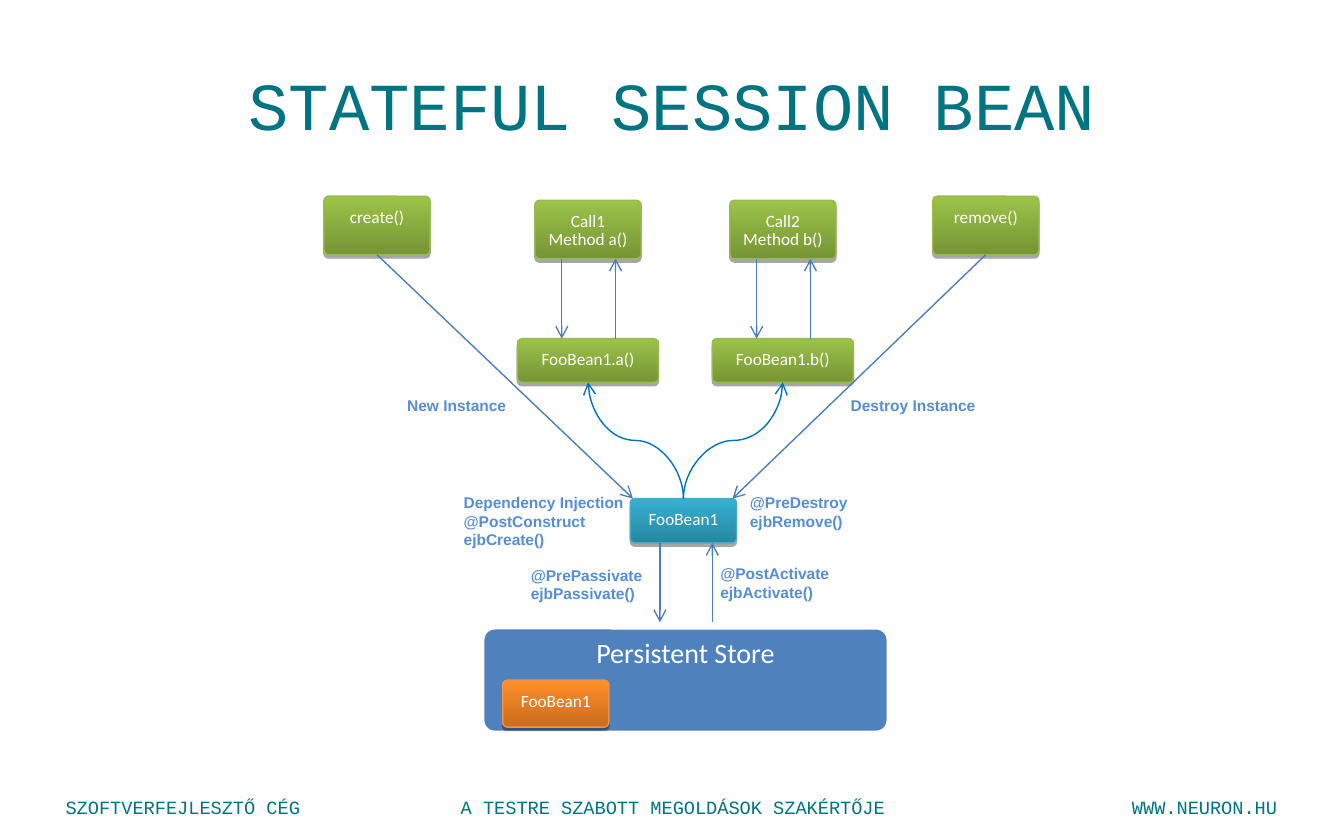
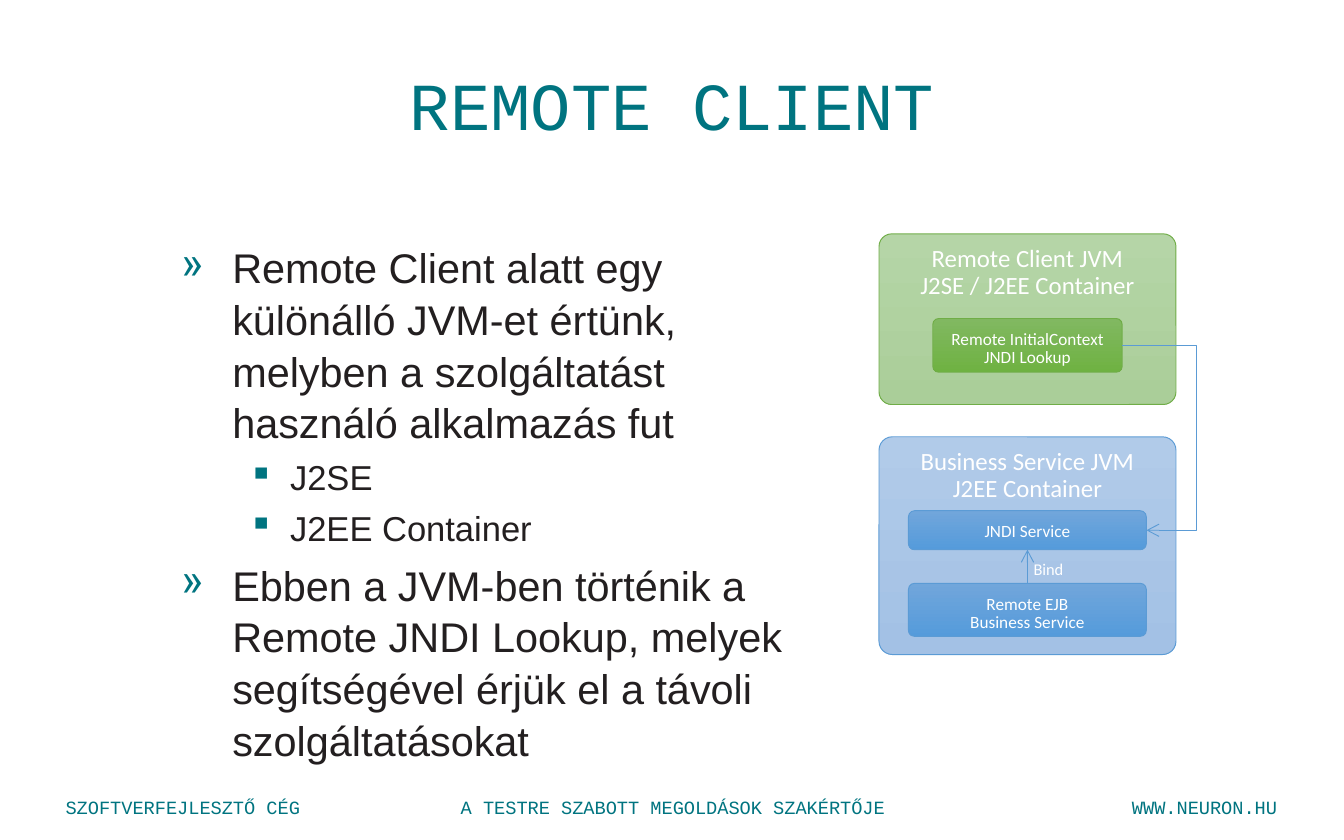
from dataclasses import dataclass
from typing import Optional

from lxml.etree import SubElement
from pptx import Presentation
from pptx.dml.color import RGBColor
from pptx.enum.shapes import MSO_CONNECTOR as Route, MSO_SHAPE as Preset
from pptx.enum.text import MSO_ANCHOR as Anchor, MSO_AUTO_SIZE as AutoSize, PP_ALIGN as Align
from pptx.oxml.ns import qn
from pptx.util import Emu, Inches, Pt

COLUMNS, ROWS = 200, 125
CELL = Inches(10) / COLUMNS

WHITE = RGBColor(0xFF, 0xFF, 0xFF)
BLACK = RGBColor(0x00, 0x00, 0x00)
TEAL = RGBColor(0x00, 0x74, 0x80)
INK = RGBColor(0x23, 0x1F, 0x20)
NOTE_BLUE = RGBColor(0x55, 0x8E, 0xD5)
CALL_BLUE = RGBColor(0x4A, 0x7E, 0xBB)
CURVE_BLUE = RGBColor(0x00, 0x70, 0xC0)
STORE_BLUE = RGBColor(0x4F, 0x81, 0xBD)
SERVICE_BLUE = RGBColor(0x5B, 0x9B, 0xD5)
CLIENT_GREEN = RGBColor(0x70, 0xAD, 0x47)


@dataclass(frozen=True)
class Type:
    font: str
    size: float
    color: RGBColor
    bold: bool = False


@dataclass(frozen=True)
class Skin:
    start: RGBColor
    border: RGBColor
    border_width: float
    end: Optional[RGBColor] = None
    angle: int = 90
    raised: bool = False


@dataclass(frozen=True)
class Area:
    left: float
    top: float
    width: float
    height: float

    def emu(self) -> list[Emu]:
        return [cells(n) for n in (self.left, self.top, self.width, self.height)]

    def top_middle(self) -> tuple[float, float]:
        return self.left + self.width / 2, self.top

    def bottom_middle(self) -> tuple[float, float]:
        return self.left + self.width / 2, self.top + self.height

    def right_middle(self) -> tuple[float, float]:
        return self.left + self.width, self.top + self.height / 2


@dataclass(frozen=True)
class Box:
    area: Area
    text: str
    skin: Skin
    type: Type
    corner: float = 0.7


@dataclass(frozen=True)
class Note:
    area: Area
    paragraphs: tuple[str, ...]


@dataclass(frozen=True)
class Bullet:
    mark: str
    type: Type
    margin: float
    hang: float
    before: float


@dataclass(frozen=True)
class Pen:
    color: RGBColor
    width: float


TITLE = Type("Courier New", 36, TEAL)
FOOTER = Type("Courier New", 10, TEAL)
NOTE = Type("Arial", 8.3, NOTE_BLUE, True)
BIND = Type("Calibri", 8.8, WHITE)
SMALL = Type("Calibri", 9.2, WHITE)
CONTAINER = Type("Calibri", 13.3, WHITE)
STORE = Type("Calibri", 15, WHITE)

METHOD_SKIN = Skin(RGBColor(0x76, 0x95, 0x35), RGBColor(0x98, 0xB9, 0x54), 0.75,
                   RGBColor(0x9B, 0xC3, 0x48), raised=True)
BEAN_SKIN = Skin(RGBColor(0x27, 0x87, 0xA0), RGBColor(0x46, 0xAA, 0xC5), 0.75,
                 RGBColor(0x36, 0xB1, 0xD2), raised=True)
PASSIVE_SKIN = Skin(RGBColor(0xCB, 0x6C, 0x1D), RGBColor(0xF6, 0x92, 0x40), 0.75,
                    RGBColor(0xFF, 0x8F, 0x2A), raised=True)
STORE_SKIN = Skin(STORE_BLUE, WHITE, 2)
CLIENT_SKIN = Skin(RGBColor(0xB5, 0xD5, 0xA7), CLIENT_GREEN, 0.5, RGBColor(0xAA, 0xCE, 0x99), 270)
LOOKUP_SKIN = Skin(RGBColor(0x81, 0xB8, 0x61), CLIENT_GREEN, 0.5, RGBColor(0x6F, 0xB2, 0x42), 270)
BUSINESS_SKIN = Skin(RGBColor(0xB1, 0xCB, 0xE9), SERVICE_BLUE, 0.5, RGBColor(0xA3, 0xC1, 0xE5), 270)
SERVICE_SKIN = Skin(RGBColor(0x71, 0xA6, 0xDB), SERVICE_BLUE, 0.5, RGBColor(0x55, 0x9B, 0xDB), 270)

CALL_PEN = Pen(CALL_BLUE, 0.75)
CURVE_PEN = Pen(CURVE_BLUE, 0.75)
SERVICE_PEN = Pen(SERVICE_BLUE, 0.5)

TOPIC = Bullet("»", Type("Arial", 22.2, INK), 7.6, 7.6, 5)
DETAIL = Bullet("▪", Type("Arial", 18.5, INK), 16.2, 6.2, 4)

FOOTERS = (
    (Area(7.8, 117.4, 47.2, 5.4), "SZOFTVERFEJLESZTŐ CÉG", Align.LEFT),
    (Area(144.8, 117.4, 47.2, 5.4), "WWW.NEURON.HU", Align.RIGHT),
    (Area(66.2, 117.4, 67.8, 5.4), "A TESTRE SZABOTT MEGOLDÁSOK SZAKÉRTŐJE", Align.CENTER),
)


def cells(count: float) -> Emu:
    return Emu(round(count * CELL))


def set_margins(frame, across: float, down: float) -> None:
    frame.margin_left = frame.margin_right = cells(across)
    frame.margin_top = frame.margin_bottom = cells(down)


def add_run(paragraph, text: str, style: Type) -> None:
    run = paragraph.add_run()
    run.text = text
    run.font.name = style.font
    run.font.size = Pt(style.size)
    run.font.bold = style.bold
    run.font.color.rgb = style.color


def write(paragraph, text: str, style: Type, align=Align.LEFT) -> None:
    paragraph.alignment = align
    for number, line in enumerate(text.split("\n")):
        if number:
            paragraph.add_line_break()
        add_run(paragraph, line, style)


def add_frame(slide, area: Area):
    frame = slide.shapes.add_textbox(*area.emu()).text_frame
    frame.word_wrap = True
    return frame


def add_note(slide, note: Note, style: Type = NOTE) -> None:
    frame = add_frame(slide, note.area)
    frame.word_wrap = False
    frame.auto_size = AutoSize.SHAPE_TO_FIT_TEXT
    set_margins(frame, 1.6, 0.8)
    for number, text in enumerate(note.paragraphs):
        write(frame.add_paragraph() if number else frame.paragraphs[0], text, style)


def add_box(slide, box: Box):
    skin = box.skin
    shape = slide.shapes.add_shape(Preset.ROUNDED_RECTANGLE, *box.area.emu())
    shape.adjustments[0] = box.corner / min(box.area.width, box.area.height)
    if skin.end is None:
        shape.fill.solid()
        shape.fill.fore_color.rgb = skin.start
    else:
        shape.fill.gradient()
        shape.fill.gradient_angle = skin.angle
        for stop, color in zip(shape.fill.gradient_stops, (skin.start, skin.end)):
            stop.color.rgb = color
    shape.line.color.rgb = skin.border
    shape.line.width = Pt(skin.border_width)
    shape.shadow.inherit = False
    if skin.raised:
        effects = shape.element.spPr.find(qn("a:effectLst"))
        shadow = SubElement(effects, qn("a:outerShdw"), blurRad="0", dist=str(Pt(1.8)),
                            dir="5400000", rotWithShape="0")
        tint = SubElement(shadow, qn("a:srgbClr"), val=str(BLACK))
        SubElement(tint, qn("a:alpha"), val="35000")
    frame = shape.text_frame
    frame.word_wrap = True
    frame.vertical_anchor = Anchor.TOP
    inset = 1.8 - 0.29 * box.corner
    set_margins(frame, inset, inset)
    paragraph = frame.paragraphs[0]
    paragraph.line_spacing = 0.9
    paragraph.space_after = Pt(6.7)
    write(paragraph, box.text, box.type, Align.CENTER)
    return shape


def add_arrow(slide, start: tuple[float, float], end: tuple[float, float], pen: Pen,
              route=Route.STRAIGHT):
    arrow = slide.shapes.add_connector(route, *[cells(n) for n in (*start, *end)])
    arrow.line.color.rgb = pen.color
    arrow.line.width = Pt(pen.width)
    SubElement(arrow.line._get_or_add_ln(), qn("a:tailEnd"), type="arrow")
    SubElement(arrow.element.spPr, qn("a:effectLst"))
    return arrow


def add_rising_curve(slide, start: tuple[float, float], end: tuple[float, float]) -> None:
    middle_x, middle_y = (start[0] + end[0]) / 2, (start[1] + end[1]) / 2
    reach, drift = abs(end[1] - start[1]) / 2, abs(end[0] - start[0]) / 2
    turn = 90 if end[0] > start[0] else 270
    side = reach if turn == 90 else -reach
    curve = add_arrow(slide, (middle_x + side, middle_y + drift),
                      (middle_x - side, middle_y - drift), CURVE_PEN, Route.CURVE)
    curve.element.spPr.find(qn("a:xfrm")).set("rot", str(turn * 60000))


def add_bullet(paragraph, bullet: Bullet, text: str, first: bool) -> None:
    properties = paragraph._p.get_or_add_pPr()
    properties.set("marL", str(cells(bullet.margin)))
    properties.set("indent", str(cells(-bullet.hang)))
    color = SubElement(properties, qn("a:buClr"))
    SubElement(color, qn("a:srgbClr"), val=str(TEAL))
    SubElement(properties, qn("a:buChar"), char=bullet.mark)
    paragraph.line_spacing = 1.04
    paragraph.space_before = Pt(0 if first else bullet.before)
    write(paragraph, text, bullet.type)


def add_page(deck, title: str):
    slide = deck.slides.add_slide(deck.slide_layouts[6])
    slide.background.fill.solid()
    slide.background.fill.fore_color.rgb = WHITE
    for area, text, align in FOOTERS:
        write(add_frame(slide, area).paragraphs[0], text, FOOTER, align)
    heading = add_frame(slide, Area(10, 5, 180, 20.8))
    heading.vertical_anchor = Anchor.MIDDLE
    write(heading.paragraphs[0], title, TITLE, Align.CENTER)
    return slide


def build_stateful(deck) -> None:
    slide = add_page(deck, "STATEFUL SESSION BEAN")
    bean = Area(93.8, 74.2, 15.8, 6.6)
    add_box(slide, Box(bean, "FooBean1", BEAN_SKIN, SMALL))
    for number, method in enumerate("ab"):
        shift = 29 * number
        call = Area(79.6 + shift, 29.8, 15.8, 8.7)
        target = Area(77 + shift, 50.4, 21, 6.5)
        add_box(slide, Box(call, f"Call{number + 1}\nMethod {method}()", METHOD_SKIN, SMALL))
        add_box(slide, Box(target, f"FooBean1.{method}()", METHOD_SKIN, SMALL))
        add_rising_curve(slide, bean.top_middle(), target.bottom_middle())
        add_arrow(slide, (83.6 + shift, 38.5), (83.6 + shift, 50.4), CALL_PEN)
        add_arrow(slide, (91.6 + shift, 50.4), (91.6 + shift, 38.5), CALL_PEN)
    for left, text, corner_x in ((48.2, "create()", 94.2), (138.8, "remove()", 109)):
        area = Area(left, 29.2, 15.8, 8.7)
        lifecycle = add_box(slide, Box(area, text, METHOD_SKIN, SMALL))
        arrow = add_arrow(slide, area.bottom_middle(), (corner_x, bean.top), CALL_PEN)
        arrow.begin_connect(lifecycle, 2)
    add_box(slide, Box(Area(71.8, 93.4, 60.4, 15.6), "Persistent Store", STORE_SKIN, STORE, 1.8))
    add_box(slide, Box(Area(74.8, 101.2, 15.8, 7), "FooBean1", PASSIVE_SKIN, SMALL))
    add_arrow(slide, (98.2, 80.8), (98.2, 92.6), CALL_PEN)
    add_arrow(slide, (106, 92.6), (106, 80.8), CALL_PEN)
    for note in (
        Note(Area(67.4, 72.6, 27.6, 10), ("Dependency Injection\n@PostConstruct", "ejbCreate()")),
        Note(Area(59, 58.2, 18.4, 4.4), ("New Instance",)),
        Note(Area(110, 72.6, 18, 7.2), ("@PreDestroy", "ejbRemove()")),
        Note(Area(125, 58.2, 22.2, 4.4), ("Destroy Instance",)),
        Note(Area(77.4, 83.4, 20.2, 7.2), ("@PrePassivate", "ejbPassivate()")),
        Note(Area(105.6, 83.2, 19.8, 7.2), ("@PostActivate", "ejbActivate()")),
    ):
        add_note(slide, note)


def build_remote(deck) -> None:
    slide = add_page(deck, "REMOTE CLIENT")
    body = add_frame(slide, Area(25, 34.8, 99.6, 68.8))
    for number, (bullet, text) in enumerate((
        (TOPIC, "Remote Client alatt egy különálló JVM-et értünk, "
                "melyben a szolgáltatást használó alkalmazás fut"),
        (DETAIL, "J2SE"),
        (DETAIL, "J2EE Container"),
        (TOPIC, "Ebben a JVM-ben történik a Remote JNDI Lookup, "
                "melyek segítségével érjük el a távoli szolgáltatásokat"),
    )):
        paragraph = body.add_paragraph() if number else body.paragraphs[0]
        add_bullet(paragraph, bullet, text, number == 0)
    lookup = Area(138.8, 47.4, 28.2, 8)
    business = Area(135.2, 86.8, 35.4, 7.9)
    naming = Area(135.2, 76, 35.4, 5.8)
    add_box(slide, Box(Area(130.8, 34.8, 44.2, 25.4), "Remote Client JVM\nJ2SE / J2EE Container",
                       CLIENT_SKIN, CONTAINER, 1.9))
    add_box(slide, Box(Area(130.8, 65, 44.2, 32.4), "Business Service JVM\nJ2EE Container",
                       BUSINESS_SKIN, CONTAINER, 2))
    add_box(slide, Box(lookup, "Remote InitialContext\nJNDI Lookup", LOOKUP_SKIN, SMALL, 0.9))
    provider = add_box(slide, Box(business, "Remote EJB\nBusiness Service", SERVICE_SKIN, SMALL, 0.9))
    registry = add_box(slide, Box(naming, "JNDI Service", SERVICE_SKIN, SMALL, 0.9))
    binding = add_arrow(slide, business.top_middle(), naming.bottom_middle(), SERVICE_PEN)
    binding.begin_connect(provider, 0)
    binding.end_connect(registry, 2)
    add_note(slide, Note(Area(152.2, 82.4, 7.8, 4.6), ("Bind",)), BIND)
    request = add_arrow(slide, lookup.right_middle(), naming.right_middle(), SERVICE_PEN, Route.ELBOW)
    bend = request.element.spPr.find(qn("a:prstGeom")).find(qn("a:avLst"))
    SubElement(bend, qn("a:gd"), name="adj1", fmla="val 308000")


def main() -> None:
    deck = Presentation()
    deck.slide_width, deck.slide_height = cells(COLUMNS), cells(ROWS)
    build_stateful(deck)
    build_remote(deck)
    deck.save("out.pptx")


if __name__ == "__main__":
    main()
